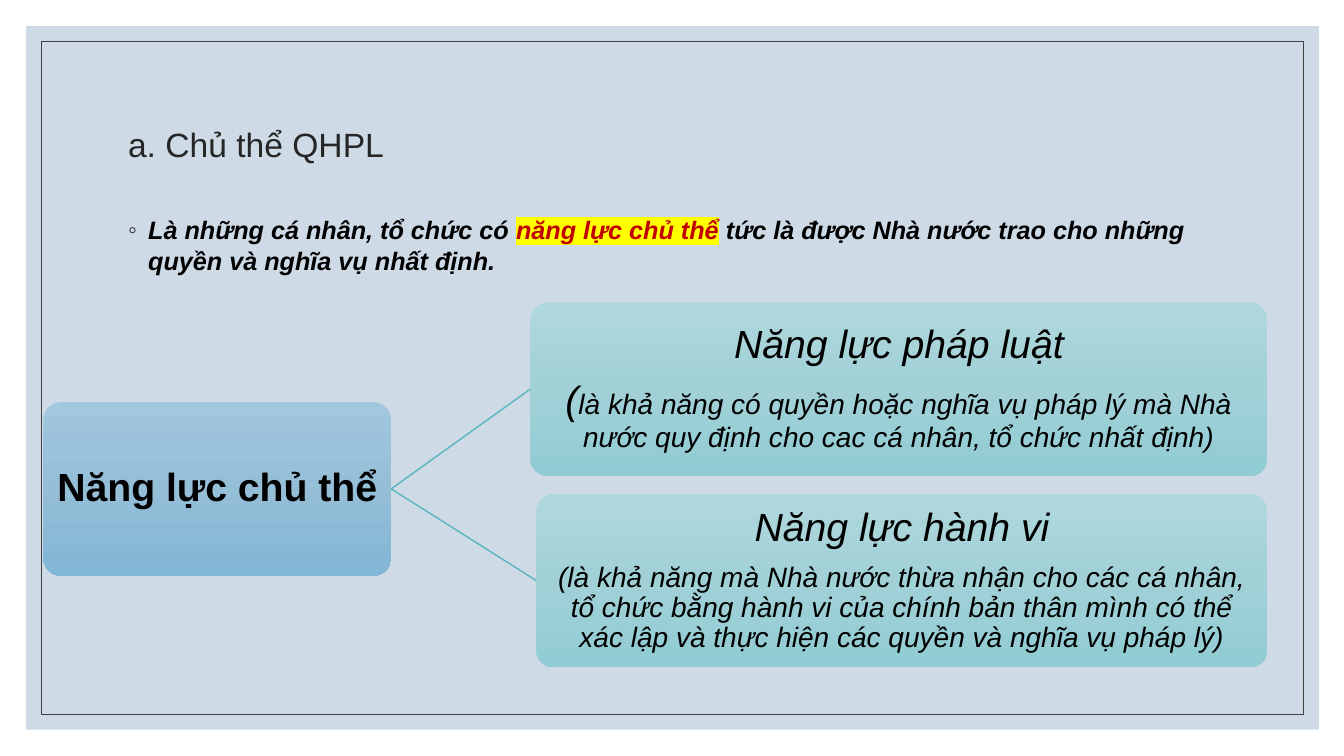
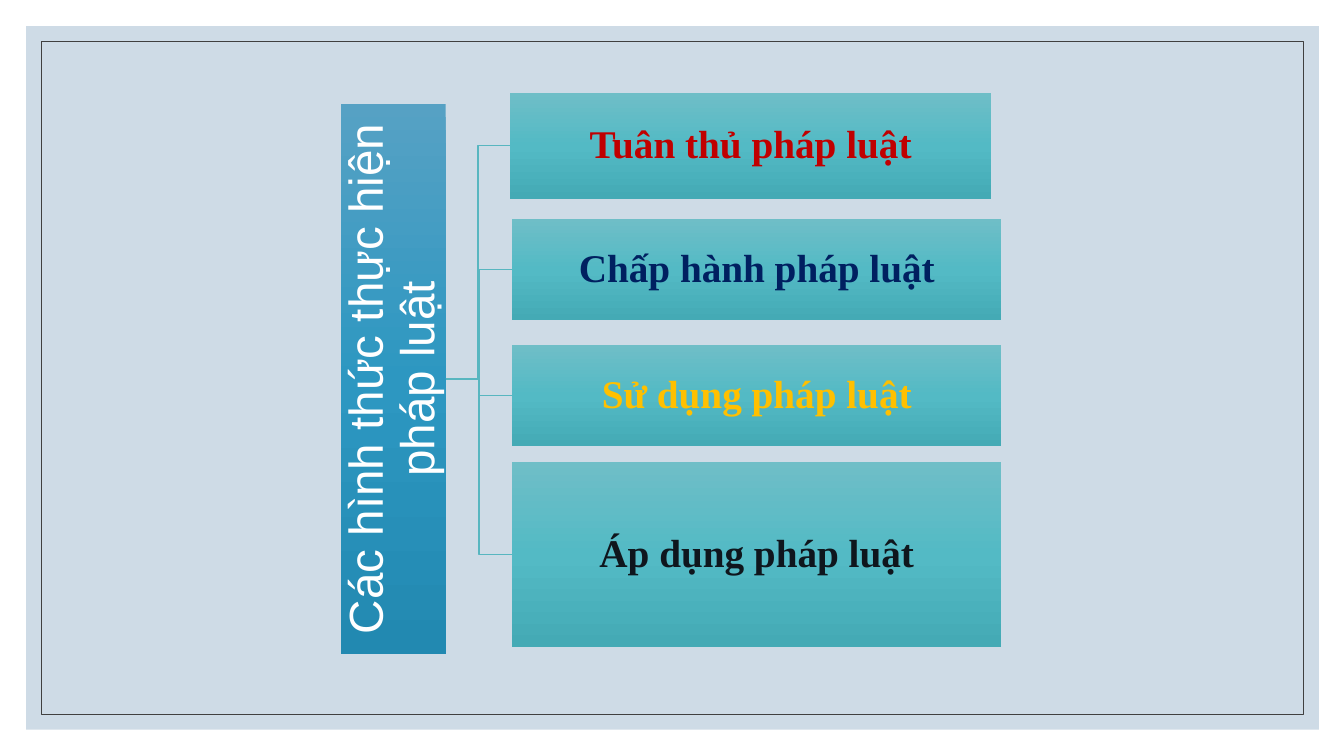
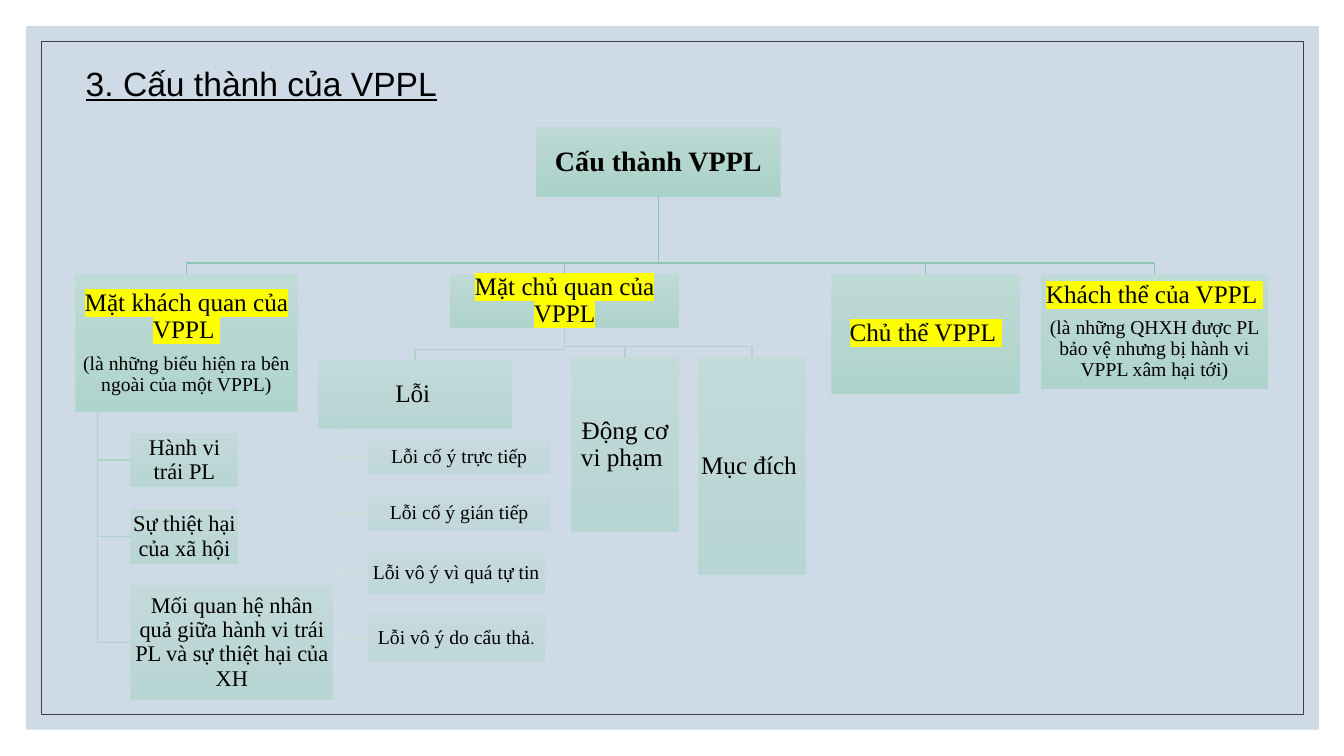
from dataclasses import dataclass

from lxml import etree
from pptx import Presentation
from pptx import util as u
from pptx.dml import color
from pptx.enum import shapes, text
from pptx.oxml import ns


@dataclass(frozen=True)
class Theme:
    sans: str = "Arial"
    serif: str = "Times New Roman"
    panel: str = "CEDBE6"
    frame: str = "404040"
    ink: str = "262626"
    black: str = "000000"
    white: str = "FFFFFF"
    red: str = "C00000"
    navy: str = "002060"
    gold: str = "FFC000"
    night: str = "0F161D"
    marker: str = "FFFF00"
    teal_line: str = "58B6C0"
    green_lines: tuple = ("8CC5B2", "AED4C7", "CAE1D9")
    pale_blue: tuple = ("A2C7DF", "95BED7", "81B6D5")
    pale_teal: tuple = ("AFD8DD", "A1D1D7", "91CCD4")
    blue: tuple = ("56A1C4", "2D97C1", "2289B1")
    teal: tuple = ("6FBEC7", "53BAC5", "44AAB5")
    green: tuple = ("BBDCD1", "AED5C8", "A1D2C1")
    green_alphas: tuple = (80, 70, 50, 30)
    banner: int = 34
    heading: int = 28
    title: int = 24
    detail: int = 20
    body: int = 18
    leaf: int = 16
    note: int = 14
    tiny: int = 12


THEME = Theme()
MARKED = {"highlight": THEME.marker}
NOTE = {"size": THEME.note}
DETAIL = {"size": THEME.detail}


def inches(values):
    return [u.Inches(value) for value in values]


class Deck:
    def __init__(self, theme):
        self.theme = theme
        self.presentation = Presentation()
        self.presentation.slide_width = u.Inches(13.33)
        self.presentation.slide_height = u.Inches(7.5)
        self.slide = None

    def new_slide(self, layout):
        first = self.slide is None
        self.slide = self.presentation.slides.add_slide(self.presentation.slide_layouts[layout])
        if first:
            self.draw_master()

    def draw_master(self):
        panel = self.shape((0.26, 0.26, 12.82, 6.98))
        panel.fill.solid()
        panel.fill.fore_color.rgb = color.RGBColor.from_string(self.theme.panel)
        frame = self.shape((0.41, 0.41, 12.52, 6.68))
        frame.fill.background()
        self.stroke(frame, self.theme.frame, 0.5)
        tree = self.presentation.slide_master.shapes.element
        for offset, shape in enumerate((panel, frame)):
            shape.element.nvSpPr.cNvPr.set("id", str(100 + offset))
            tree.insert(2 + offset, shape.element)

    def shape(self, bounds, kind=shapes.MSO_SHAPE.RECTANGLE):
        shape = self.slide.shapes.add_shape(kind, *inches(bounds))
        shape.shadow.inherit = False
        shape.line.fill.background()
        return shape

    def stroke(self, shape, line_color, width=1):
        shape.line.color.rgb = color.RGBColor.from_string(line_color)
        shape.line.width = u.Pt(width)

    def shade(self, shape, colors, alpha):
        shape.fill.gradient()
        shape.fill.gradient_angle = 270
        stops = shape.element.spPr.find(ns.qn("a:gradFill")).find(ns.qn("a:gsLst"))
        for stop in list(stops):
            stops.remove(stop)
        for position, value in zip((0, 50000, 100000), colors):
            stop = etree.SubElement(stops, ns.qn("a:gs"), pos=str(position))
            tone = etree.SubElement(stop, ns.qn("a:srgbClr"), val=value)
            if alpha < 100:
                etree.SubElement(tone, ns.qn("a:alpha"), val=str(alpha * 1000))

    def add_run(self, paragraph, content, style):
        run = paragraph.add_run()
        run.text = content
        values = dict(style)
        highlight = values.pop("highlight", None)
        run.font.color.rgb = color.RGBColor.from_string(values.pop("color"))
        values["size"] = u.Pt(values["size"])
        for name, value in values.items():
            setattr(run.font, name, value)
        if highlight:
            mark = etree.Element(ns.qn("a:highlight"))
            etree.SubElement(mark, ns.qn("a:srgbClr"), val=highlight)
            run._r.get_or_add_rPr().find(ns.qn("a:solidFill")).addnext(mark)

    def set_text(self, shape, paragraphs, style, frame_format, paragraph_format):
        frame = shape.text_frame
        frame_values = {"word_wrap": True, "auto_size": text.MSO_AUTO_SIZE.NONE, **frame_format}
        for name, value in frame_values.items():
            setattr(frame, name, value)
        for index, runs in enumerate(paragraphs):
            paragraph = frame.add_paragraph() if index else frame.paragraphs[0]
            for name, value in paragraph_format.items():
                setattr(paragraph, name, value)
            if index < len(paragraphs) - 1:
                paragraph.space_after = u.Pt(round(style["size"] * 0.35, 1))
            for content, changes in runs:
                self.add_run(paragraph, content, {**style, **changes})

    def place(self, shape, bounds):
        for name, value in zip(("left", "top", "width", "height"), inches(bounds)):
            setattr(shape, name, value)

    def title(self, content, bounds, **changes):
        shape = self.slide.shapes.title
        self.place(shape, bounds)
        style = {"name": self.theme.sans, "size": self.theme.title, "color": self.theme.ink, **changes}
        self.set_text(shape, [[(content, {})]], style,
                      {"vertical_anchor": text.MSO_ANCHOR.MIDDLE},
                      {"alignment": text.PP_ALIGN.LEFT, "line_spacing": 0.9})

    def bullet(self, runs, bounds):
        shape = self.slide.placeholders[1]
        self.place(shape, bounds)
        style = {"name": self.theme.sans, "size": self.theme.body, "color": self.theme.black,
                 "bold": True, "italic": True}
        self.set_text(shape, [runs], style, {"vertical_anchor": text.MSO_ANCHOR.TOP},
                      {"alignment": text.PP_ALIGN.LEFT, "space_before": u.Pt(9)})
        properties = shape.text_frame.paragraphs[0]._p.get_or_add_pPr()
        properties.set("marL", str(u.Inches(0.2)))
        properties.set("indent", str(-u.Inches(0.2)))
        bullet_color = etree.SubElement(properties, ns.qn("a:buClr"))
        etree.SubElement(bullet_color, ns.qn("a:srgbClr"), val=self.theme.ink)
        etree.SubElement(properties, ns.qn("a:buChar"), char="◦")

    def box(self, bounds, paragraphs, colors, alpha=100, inset=0.02, rounded=False,
            upward=False, **changes):
        kind = shapes.MSO_SHAPE.ROUNDED_RECTANGLE if rounded else shapes.MSO_SHAPE.RECTANGLE
        shape = self.shape(bounds, kind)
        if rounded:
            shape.adjustments[0] = 0.1
        self.shade(shape, colors, alpha)
        style = {"name": self.theme.sans, "size": self.theme.heading, "color": self.theme.black, **changes}
        margins = {f"margin_{side}": u.Inches(inset) for side in ("left", "right", "top", "bottom")}
        self.set_text(shape, paragraphs, style,
                      {"vertical_anchor": text.MSO_ANCHOR.MIDDLE, **margins},
                      {"alignment": text.PP_ALIGN.CENTER, "line_spacing": 0.9})
        if upward:
            shape.text_frame._txBody.bodyPr.set("vert", "vert270")
        return shape

    def connect(self, parent, child, kind):
        connector = self.slide.shapes.add_connector(
            kind, parent.left + parent.width, parent.top + parent.height // 2,
            child.left, child.top + child.height // 2)
        self.stroke(connector, self.theme.teal_line)
        etree.SubElement(connector.element.spPr, ns.qn("a:effectLst"))

    def branch(self, parent, child, line_color, beside):
        bottom = parent.top + parent.height
        if beside:
            rail = parent.left + parent.width // 10
            middle = child.top + child.height // 2
            points = [(rail, bottom), (rail, middle), (child.left, middle)]
        else:
            start = parent.left + parent.width // 2
            end = child.left + child.width // 2
            rail = child.top - u.Inches(0.11)
            points = [(start, bottom), (start, rail), (end, rail), (end, child.top)]
        builder = self.slide.shapes.build_freeform(*points[0])
        builder.add_line_segments(points[1:], close=False)
        shape = builder.convert_to_shape()
        shape.shadow.inherit = False
        shape.fill.background()
        self.stroke(shape, line_color)

    def tree(self, node, level=0):
        bounds, size, paragraphs, children = node
        parent = self.box(bounds, paragraphs, self.theme.green, self.theme.green_alphas[level],
                          0.01, name=self.theme.serif, size=size, bold=level == 0)
        beside = not any(child_node[3] for child_node in children)
        for child_node in children:
            child = self.tree(child_node, level + 1)
            self.branch(parent, child, self.theme.green_lines[level], beside)
        return parent


def subject_slide(deck):
    theme = deck.theme
    deck.new_slide(1)
    deck.title("a. Chủ thể QHPL", (1.17, 0.7, 11, 1.5))
    deck.bullet([
        ("Là những cá nhân, tổ chức có ", {}),
        ("năng lực chủ thể", {"color": theme.red, **MARKED}),
        (" tức là được Nhà nước trao cho những quyền và nghĩa vụ nhất định.", {}),
    ], (1.17, 2.08, 11, 4.52))
    capacity = deck.box((0.43, 3.99, 3.45, 1.72), [[("Năng lực chủ thể", {})]],
                        theme.pale_blue, inset=0.07, rounded=True, bold=True)
    kinds = [
        ((5.26, 3, 7.31, 1.72), "Năng lực pháp luật", [
            ("(", {}),
            ("là khả năng có quyền hoặc nghĩa vụ pháp lý mà Nhà nước quy định cho cac cá nhân, tổ chức nhất định)", DETAIL)]),
        ((5.32, 4.9, 7.25, 1.72), "Năng lực hành vi", [
            ("(là khả năng mà Nhà nước thừa nhận cho các cá nhân, tổ chức bằng hành vi của chính bản thân mình có thể xác lập và thực hiện các quyền và nghĩa vụ pháp lý)", DETAIL)]),
    ]
    for bounds, heading, explanation in kinds:
        kind = deck.box(bounds, [[(heading, {})], explanation], theme.pale_teal,
                        inset=0.07, rounded=True, italic=True)
        deck.connect(capacity, kind, shapes.MSO_CONNECTOR.STRAIGHT)


def forms_slide(deck):
    theme = deck.theme
    deck.new_slide(6)
    banner = deck.box((3.38, 1.03, 1.04, 5.46), [[("Các hình thức thực hiện pháp luật", {})]],
                      theme.blue, upward=True, size=theme.banner, color=theme.white)
    forms = [
        ((5.06, 0.92, 4.77, 1.05), "Tuân thủ pháp luật", theme.red),
        ((5.08, 2.17, 4.85, 1.01), "Chấp hành pháp luật", theme.navy),
        ((5.08, 3.42, 4.85, 1.01), "Sử dụng pháp luật", theme.gold),
        ((5.08, 4.58, 4.85, 1.84), "Áp dụng pháp luật", theme.night),
    ]
    for bounds, label, label_color in forms:
        form = deck.box(bounds, [[(label, {})]], theme.teal,
                        name=theme.serif, bold=True, color=label_color)
        deck.connect(banner, form, shapes.MSO_CONNECTOR.ELBOW)


def structure_slide(deck):
    theme = deck.theme
    deck.new_slide(5)
    deck.title("3. Cấu thành của VPPL", (0.75, 0.37, 11, 0.96), color=theme.black, underline=True)
    objective = [
        ((1.3, 4.3, 1.06, 0.53), theme.leaf, [[("Hành vi trái PL", {})]], []),
        ((1.3, 5.06, 1.06, 0.53), theme.leaf, [[("Sự thiệt hại của xã hội", {})]], []),
        ((1.3, 5.81, 2, 1.13), theme.leaf,
         [[("Mối quan hệ nhân quả giữa hành vi trái PL và sự thiệt hại của XH", {})]], []),
    ]
    faults = [
        ((3.65, 4.37, 1.81, 0.33), theme.note, [[("Lỗi cố ý trực tiếp", {})]], []),
        ((3.65, 4.92, 1.81, 0.34), theme.note, [[("Lỗi cố ý gián tiếp", {})]], []),
        ((3.65, 5.48, 1.75, 0.41), theme.note, [[("Lỗi vô ý vì quá tự tin", {})]], []),
        ((3.65, 6.1, 1.75, 0.46), theme.note,
         [[("Lỗi vô ý do cẩu thả", {}), (".", {"size": theme.tiny})]], []),
    ]
    subjective = [
        ((3.16, 3.58, 1.91, 0.67), theme.body, [[("Lỗi", {}), (" ", {"size": theme.tiny})]], faults),
        ((5.67, 3.55, 1.06, 1.72), theme.body, [[("Động cơ vi phạm ", {})]], []),
        ((6.93, 3.55, 1.06, 2.15), theme.body, [[("Mục đích ", {})]], []),
    ]
    aspects = [
        ((0.75, 2.72, 2.2, 1.36), theme.body,
         [[("Mặt khách quan của VPPL ", MARKED)],
          [("(là những biểu hiện ra bên ngoài của một VPPL)", NOTE)]], objective),
        ((4.47, 2.72, 2.26, 0.53), theme.body, [[("Mặt chủ quan của VPPL", MARKED)]], subjective),
        ((8.25, 2.72, 1.86, 1.18), theme.body, [[("Chủ thể VPPL ", MARKED)]], []),
        ((10.33, 2.72, 2.24, 1.13), theme.body,
         [[("Khách thể của VPPL ", MARKED)],
          [("(là những QHXH được PL bảo vệ nhưng bị hành vi VPPL xâm hại tới)", NOTE)]], []),
    ]
    deck.tree(((5.32, 1.27, 2.42, 0.68), theme.detail, [[("Cấu thành VPPL", {})]], aspects))


def main():
    deck = Deck(THEME)
    for build in (subject_slide, forms_slide, structure_slide):
        build(deck)
    deck.presentation.save("out.pptx")


if __name__ == "__main__":
    main()
